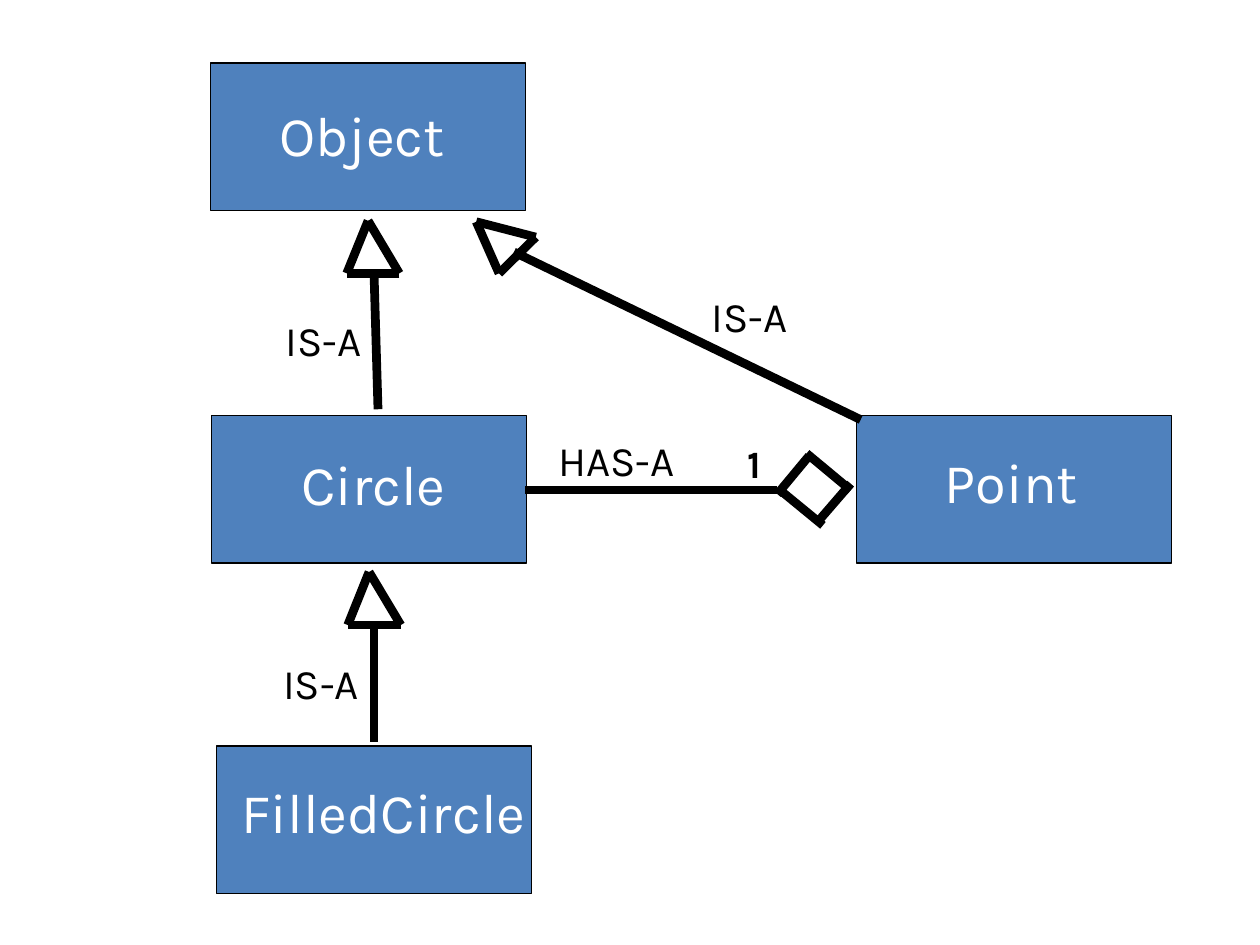
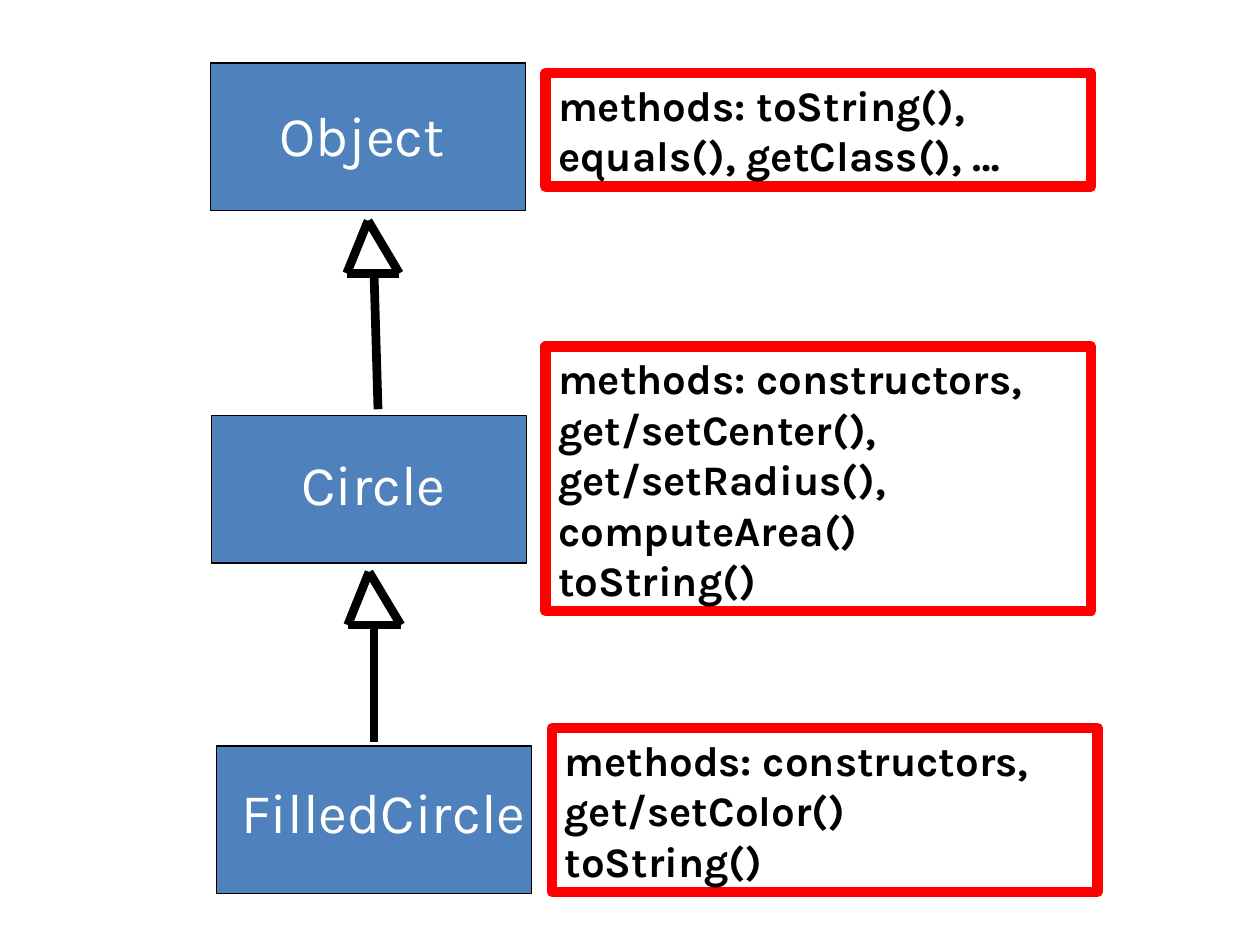
from lxml import etree
from pptx import Presentation
from pptx.dml.color import RGBColor
from pptx.enum.shapes import MSO_CONNECTOR, MSO_SHAPE
from pptx.enum.text import MSO_ANCHOR, PP_ALIGN
from pptx.oxml.ns import qn
from pptx.util import Cm, Pt

FONT = "Karla"
BLACK, WHITE, BLUE, RED = "000000", "FFFFFF", "4F81BD", "FF0000"
hex_color = RGBColor.from_string


def write(shape, text, *, size=24, color=BLACK, bold=False):
    frame = shape.text_frame
    frame.word_wrap = True
    frame.vertical_anchor = MSO_ANCHOR.TOP
    frame.text = text
    for paragraph in frame.paragraphs:
        paragraph.alignment = PP_ALIGN.LEFT
        paragraph.font.name = FONT
        paragraph.font.size = Pt(size)
        paragraph.font.bold = bold
        paragraph.font.color.rgb = hex_color(color)


def draw_line(slide, start, end):
    connector = slide.shapes.add_connector(
        MSO_CONNECTOR.STRAIGHT, *[Cm(value) for value in start + end])
    connector.line.color.rgb = hex_color(BLACK)
    connector.line.width = Pt(5)
    etree.SubElement(connector._element.spPr, qn("a:effectLst"))


presentation = Presentation()
presentation.slide_width = Cm(25.4)
presentation.slide_height = Cm(19.05)
blank_layout = presentation.slide_layouts[6]
relations_slide = presentation.slides.add_slide(blank_layout)
methods_slide = presentation.slides.add_slide(blank_layout)

# name, box left and top, label left, top and width
hierarchy_classes = [
    ("Circle", 4.27, 8.38, 5.82, 8.94, 4.24),
    ("FilledCircle", 4.37, 15.04, 4.62, 15.54, 6.35),
    ("Object", 4.24, 1.27, 5.38, 1.9, 4.24),
]
point_class = ("Point", 17.27, 8.38, 18.8, 8.89, 4.24)

hierarchy_arrows = [
    ([(6.99, 5.51), (7.42, 4.45), (8.05, 5.51)], (7.54, 5.51), (7.62, 8.25)),
    ([(7.01, 12.6), (7.44, 11.53), (8.08, 12.6)], (7.54, 12.62), (7.54, 14.96)),
]
point_arrow = ([(10.06, 5.51), (9.6, 4.47), (10.8, 4.78)], (10.36, 5.08), (17.35, 8.46))

for slide, classes, arrows in [
    (relations_slide, hierarchy_classes + [point_class], hierarchy_arrows + [point_arrow]),
    (methods_slide, hierarchy_classes, hierarchy_arrows),
]:
    for name, left, top, label_left, label_top, label_width in classes:
        box = slide.shapes.add_shape(
            MSO_SHAPE.RECTANGLE, Cm(left), Cm(top), Cm(6.35), Cm(2.97))
        box.shadow.inherit = False
        box.fill.solid()
        box.fill.fore_color.rgb = hex_color(BLUE)
        box.line.color.rgb = hex_color(BLACK)
        box.line.width = Pt(0.75)
        label = slide.shapes.add_textbox(
            Cm(label_left), Cm(label_top), Cm(label_width), Cm(1.63))
        write(label, name, size=32, color=WHITE)

    for corners, shaft_start, shaft_end in arrows:
        for corner, next_corner in zip(corners, corners[1:] + corners[:1]):
            draw_line(slide, corner, next_corner)
        draw_line(slide, shaft_start, shaft_end)

diamond_sides = [
    ((15.67, 9.96), (16.31, 9.19)),
    ((16.26, 9.14), (17.15, 9.88)),
    ((15.7, 9.86), (16.59, 10.59)),
    ((16.51, 10.49), (17.15, 9.75)),
]
diamond_shaft = ((15.67, 9.88), (10.59, 9.88))
for start, end in diamond_sides + [diamond_shaft]:
    draw_line(relations_slide, start, end)

for text, left, top in [
    ("HAS-A", 11, 8.64),
    ("IS-A", 5.46, 13.13),
    ("IS-A", 5.51, 6.22),
    ("IS-A", 14.1, 5.74),
]:
    relation = relations_slide.shapes.add_textbox(Cm(left), Cm(top), Cm(3.18), Cm(1.27))
    write(relation, text)

multiplicity = relations_slide.shapes.add_textbox(Cm(14.81), Cm(8.74), Cm(0.84), Cm(1.19))
write(multiplicity, "1", size=22, bold=True)

for text, left, top, height in [
    ("methods: toString(), equals(), getClass(), …", 11, 1.47, 2.29),
    ("methods: constructors, get/setCenter(), get/setRadius(),\ncomputeArea()\ntoString()",
     11, 6.99, 5.33),
    ("methods: constructors, get/setColor()\ntoString()", 11.13, 14.68, 3.3),
]:
    method_box = methods_slide.shapes.add_shape(
        MSO_SHAPE.RECTANGLE, Cm(left), Cm(top), Cm(11), Cm(height))
    method_box.shadow.inherit = False
    method_box.fill.background()
    method_box.line.color.rgb = hex_color(RED)
    method_box.line.width = Pt(6)
    write(method_box, text, bold=True)

presentation.save("out.pptx")
